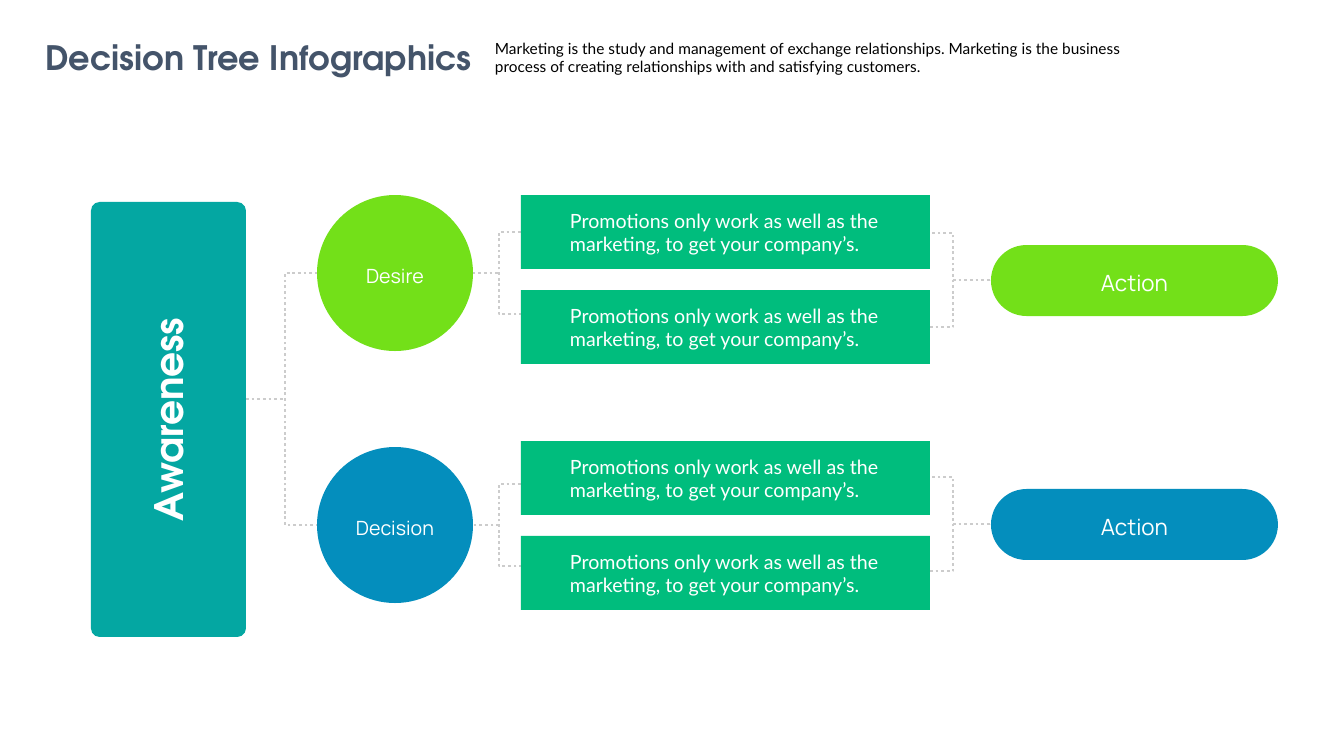
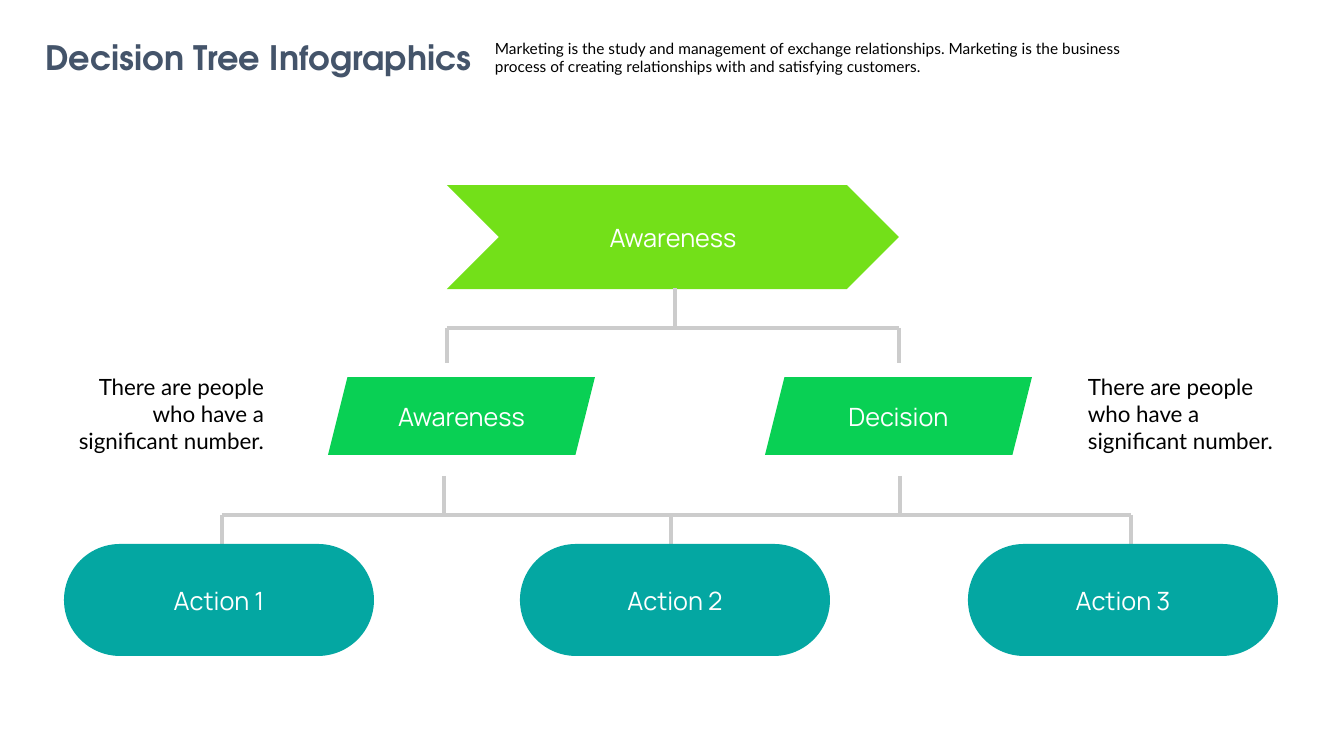
from lxml.etree import SubElement
from pptx import Presentation
from pptx.dml.color import RGBColor
from pptx.enum.dml import MSO_LINE as Dash
from pptx.enum.shapes import MSO_CONNECTOR as Link, MSO_SHAPE as Kind
from pptx.enum.text import MSO_ANCHOR as Anchor, PP_ALIGN as Align
from pptx.oxml.ns import qn
from pptx.util import Pt

# Lengths are px: the page is 1344 x 756 px
SCALE = 12192000 / 1344

SLATE = RGBColor(0x44, 0x54, 0x6A)
BLACK = RGBColor(0x00, 0x00, 0x00)
WHITE = RGBColor(0xFF, 0xFF, 0xFF)
GREY = RGBColor(0xCC, 0xCC, 0xCC)
TEAL = RGBColor(0x04, 0xA7, 0xA2)
LIME = RGBColor(0x73, 0xE0, 0x19)
BLUE = RGBColor(0x04, 0x8E, 0xBD)
EMERALD = RGBColor(0x00, 0xBD, 0x7D)
GREEN = RGBColor(0x09, 0xD0, 0x54)

HEADING, LABEL, BODY = "TeX Gyre Adventor", "Manrope", "Lato"

TITLE = "Decision Tree Infographics"
INTRO = ("Marketing is the study and management of exchange relationships. "
         "Marketing is the business process of creating relationships with "
         "and satisfying customers.")
PROMOTION = ("Promotions only work as well as the marketing, "
             "to get your company’s.")
NOTE = "There are people who have a significant number."


def px(*lengths):
    return [round(length * SCALE) for length in lengths]


class Deck:
    """Holds the shared style and the current page."""

    def __init__(self):
        self.deck = Presentation()
        self.deck.slide_width, self.deck.slide_height = px(1344, 756)
        self.page = None

    def new_page(self):
        self.page = self.deck.slides.add_slide(self.deck.slide_layouts[6])
        self.text(TITLE, 32, 32, 453, 50, HEADING, 24, SLATE,
                  align=Align.CENTER, bold=True, wrap=False)
        self.text(INTRO, 485, 34, 665, 47, BODY, 11)

    def set_text(self, shape, words, font, size, color, align,
                 bold=False, wrap=True, **frame_format):
        frame = shape.text_frame
        for name, value in {"word_wrap": wrap, **frame_format}.items():
            setattr(frame, name, value)
        para = frame.paragraphs[0]
        para.alignment = align
        span = para.add_run()
        span.text = words
        for name, value in {"name": font, "size": Pt(size), "bold": bold}.items():
            setattr(span.font, name, value)
        span.font.color.rgb = color

    def text(self, words, left, top, width, height, font, size, color=BLACK,
             align=Align.LEFT, turn=0, **options):
        box = self.page.shapes.add_textbox(*px(left, top, width, height))
        box.rotation = turn
        self.set_text(box, words, font, size, color, align, **options)

    def shape(self, kind, left, top, width, height, fill, rounding=None):
        shape = self.page.shapes.add_shape(kind, *px(left, top, width, height))
        shape.shadow.inherit = False
        shape.fill.solid()
        shape.fill.fore_color.rgb = fill
        shape.line.fill.background()
        if rounding is not None:
            shape.adjustments[0] = rounding
        return shape

    def node(self, words, kind, left, top, width, height, fill, size,
             rounding=None, lower=0):
        """A shape with a centred label, moved down by `lower` px."""
        shape = self.shape(kind, left, top, width, height, fill, rounding)
        self.set_text(shape, words, LABEL, size, WHITE, Align.CENTER,
                      vertical_anchor=Anchor.MIDDLE, margin_left=0,
                      margin_right=0, margin_top=px(2 * lower)[0],
                      margin_bottom=0)

    def bar(self, words, left, top, width, height):
        shape = self.shape(Kind.RECTANGLE, left, top, width, height, EMERALD)
        inset_left, inset_right = px(49, 33)
        self.set_text(shape, words, BODY, 14, WHITE, Align.LEFT,
                      vertical_anchor=Anchor.MIDDLE,
                      margin_left=inset_left, margin_right=inset_right)

    def stroke(self, line, width, dash):
        line.color.rgb = GREY
        line.width = Pt(width)
        if dash:
            line.dash_style = dash

    def line(self, x1, y1, x2, y2, width=3, dash=None):
        link = self.page.shapes.add_connector(Link.STRAIGHT, *px(x1, y1, x2, y2))
        self.stroke(link.line, width, dash)
        SubElement(link.element.spPr, qn("a:effectLst"))

    def bracket(self, spine, ends, top, bottom):
        """A dotted open outline with its back at x = spine."""
        builder = self.page.shapes.build_freeform(ends, bottom, SCALE)
        builder.add_line_segments([(spine, bottom), (spine, top), (ends, top)],
                                  close=False)
        outline = builder.convert_to_shape()
        outline.shadow.inherit = False
        outline.fill.background()
        self.stroke(outline.line, 2, Dash.ROUND_DOT)

    def fork(self, rail, stems, stem_top, drops, drop_end):
        """Stems from above meet a rail from which drops hang."""
        for x in stems:
            self.line(x, stem_top, x, rail)
        self.line(drops[0], rail, drops[-1], rail)
        for x in drops:
            self.line(x, rail, x, drop_end)


def dotted_tree(deck):
    deck.new_page()
    # Root
    deck.line(246, 399, 285, 399, 2, Dash.ROUND_DOT)
    deck.bracket(285, 499, 273, 525)
    deck.shape(Kind.ROUNDED_RECTANGLE, 91, 202, 155, 435, TEAL, 0.056)
    deck.text("Awareness", 44, 391, 247, 57, HEADING, 28, WHITE,
              align=Align.CENTER, turn=270, bold=True)
    # Branches: circle, two bars, pill
    for words, color, circle_top, bar_top, pill_top in (
            ("Desire", LIME, 195, 195, 245),
            ("Decision", BLUE, 447, 441, 489)):
        branch, action = circle_top + 78, pill_top + 35
        deck.bracket(499, 522, branch - 41, branch + 41)
        deck.bracket(953, 930, action - 47, action + 47)
        deck.line(953, action, 991, action, 2, Dash.ROUND_DOT)
        deck.node(words, Kind.OVAL, 317, circle_top, 156, 156, color, 14, lower=3)
        for top in (bar_top, bar_top + 95):
            deck.bar(PROMOTION, 521, top, 409, 74)
        deck.node("Action", Kind.ROUNDED_RECTANGLE, 991, pill_top, 287, 71,
                  color, 16, rounding=0.5, lower=2)


def solid_tree(deck):
    deck.new_page()
    # Root
    deck.node("Awareness", Kind.CHEVRON, 447, 185, 452, 104, LIME, 18)
    deck.fork(328, (675,), 288, (447, 899), 363)
    # Middle level with side notes
    for words, left, note_left, align in (
            ("Awareness", 328, 66, Align.RIGHT),
            ("Decision", 765, 1078, Align.LEFT)):
        deck.node(words, Kind.PARALLELOGRAM, left, 377, 267, 78, GREEN, 18)
        deck.text(NOTE, note_left, 368, 208, 92, BODY, 16, align=align)
    # Actions
    deck.fork(515, (444, 900), 476, (222, 671, 1131), 544)
    for number, left in enumerate((64, 520, 968), 1):
        deck.node(f"Action {number}", Kind.ROUNDED_RECTANGLE, left, 544, 310, 112,
                  TEAL, 18, rounding=0.5)


def main():
    deck = Deck()
    dotted_tree(deck)
    solid_tree(deck)
    deck.deck.save("out.pptx")


if __name__ == "__main__":
    main()
